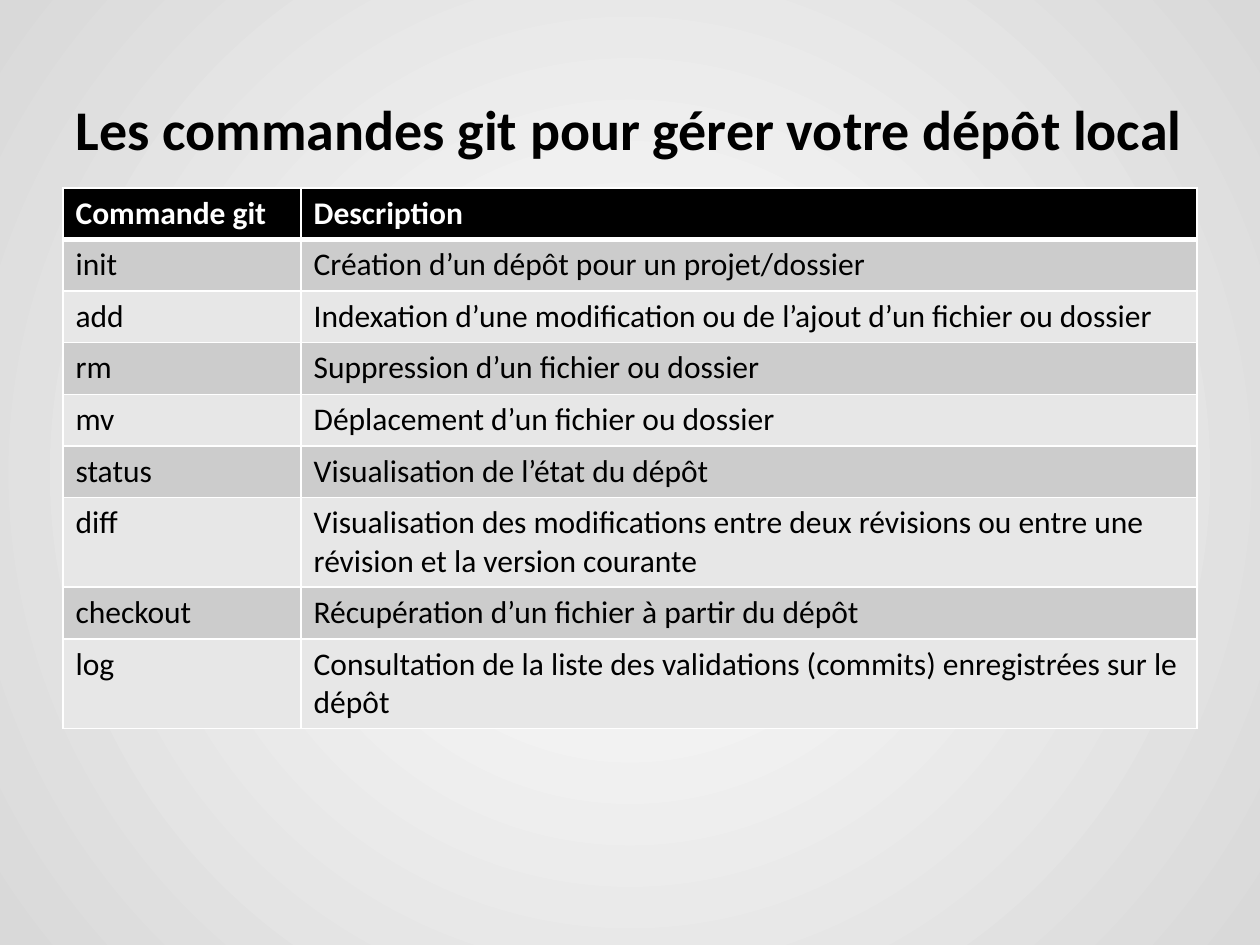
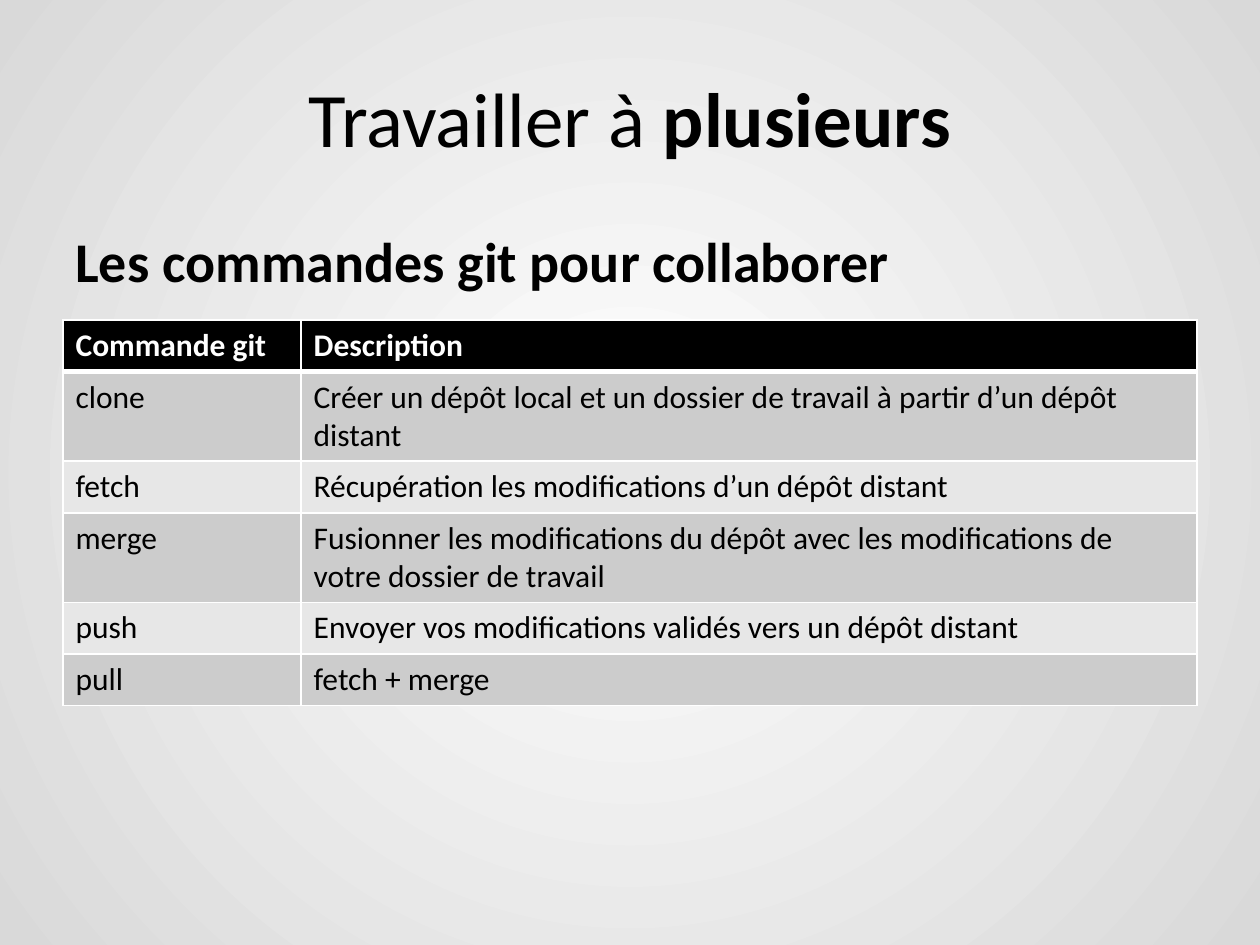
import pptx
import pptx.dml.color
import pptx.enum.text
import pptx.oxml
import pptx.oxml.ns
import pptx.util

COLORS = {
    "text": "000000",
    "header": "000000",
    "header_text": "FFFFFF",
    "odd_row": "CCCCCC",
    "even_row": "E7E7E7",
    "border": "FFFFFF",
    "center": "FFFFFF",
    "edge": "D9D9D9",
}
FONT = "Calibri"
WIDTH, HEIGHT = 10, 7.5
LEFT, CONTENT_WIDTH = 0.05 * WIDTH, 0.9 * WIDTH
HEADING_HEIGHT = 0.79
COMMAND_SHARE = 0.21
ROW_HEIGHT, TALL_ROW_HEIGHT = 0.41, 0.71
LINE_CAPACITY = 70
THIN, THICK = 0.96, 3

HEADER = ("Commande git", "Description")
LOCAL_COMMANDS = [
    ("init", "Création d’un dépôt pour un projet/dossier"),
    ("add", "Indexation d’une modification ou de l’ajout d’un fichier ou dossier"),
    ("rm", "Suppression d’un fichier ou dossier"),
    ("mv", "Déplacement d’un fichier ou dossier"),
    ("status", "Visualisation de l’état du dépôt"),
    ("diff", "Visualisation des modifications entre deux révisions ou entre une révision et la version courante"),
    ("checkout", "Récupération d’un fichier à partir du dépôt"),
    ("log", "Consultation de la liste des validations (commits) enregistrées sur le dépôt"),
]
SHARED_COMMANDS = [
    ("clone", "Créer un dépôt local et un dossier de travail à partir d’un dépôt distant"),
    ("fetch", "Récupération les modifications d’un dépôt distant"),
    ("merge", "Fusionner les modifications du dépôt avec les modifications de votre dossier de travail"),
    ("push", "Envoyer vos modifications validés vers un dépôt distant"),
    ("pull", "fetch + merge"),
]


def color(name):
    return pptx.dml.color.RGBColor.from_string(COLORS[name])


def apply(target, values):
    for name, value in values.items():
        setattr(target, name, value)


def place(shape, box):
    lengths = [pptx.util.Inches(length) for length in box]
    apply(shape, dict(zip(("left", "top", "width", "height"), lengths)))


def write(text_frame, parts, size, color_name="text", alignment=pptx.enum.text.PP_ALIGN.LEFT):
    paragraph = text_frame.paragraphs[0]
    paragraph.alignment = alignment
    for text, bold in parts:
        run = paragraph.add_run()
        run.text = text
        apply(run.font, {"name": FONT, "size": pptx.util.Pt(size), "bold": bold})
        run.font.color.rgb = color(color_name)


def set_background(master):
    fill = master.background.fill
    fill.gradient()
    for stop, name in zip(fill.gradient_stops, ("center", "edge")):
        stop.color.rgb = color(name)
    gradient = master.element.find(".//" + pptx.oxml.ns.qn("a:gradFill"))
    gradient.remove(gradient.find(pptx.oxml.ns.qn("a:lin")))
    gradient.append(pptx.oxml.parse_xml(
        f'<a:path {pptx.oxml.ns.nsdecls("a")} path="circle">'
        '<a:fillToRect l="50000" t="50000" r="50000" b="50000"/></a:path>'))


def add_title(slide, parts, box):
    title = slide.shapes.title
    place(title, box)
    apply(title.text_frame, {
        "word_wrap": True,
        "auto_size": pptx.enum.text.MSO_AUTO_SIZE.NONE,
        "vertical_anchor": pptx.enum.text.MSO_ANCHOR.MIDDLE,
    })
    write(title.text_frame, parts, 44, alignment=pptx.enum.text.PP_ALIGN.CENTER)


def format_heading(shape, text, box):
    place(shape, box)
    apply(shape.text_frame, {
        "word_wrap": True,
        "auto_size": pptx.enum.text.MSO_AUTO_SIZE.NONE,
        "vertical_anchor": pptx.enum.text.MSO_ANCHOR.TOP,
    })
    write(shape.text_frame, [(text, True)], 32)


def set_borders(cell, widths):
    properties = cell._tc.get_or_add_tcPr()
    for side, width in widths.items():
        properties.append(pptx.oxml.parse_xml(
            f'<a:ln{side} {pptx.oxml.ns.nsdecls("a")} w="{pptx.util.Pt(width)}">'
            f'<a:solidFill><a:srgbClr val="{COLORS["border"]}"/></a:solidFill></a:ln{side}>'))


def format_cell(cell, text, row):
    is_header = row == 0
    set_borders(cell, {
        "L": THIN,
        "R": THIN,
        "T": THICK if row == 1 else THIN,
        "B": THICK if is_header else THIN,
    })
    cell.fill.solid()
    fill_name = "header" if is_header else ("even_row", "odd_row")[row % 2]
    cell.fill.fore_color.rgb = color(fill_name)
    write(cell.text_frame, [(text, is_header)], 18, "header_text" if is_header else "text")


def add_command_table(slide, commands, left, top, width):
    rows = [HEADER, *commands]
    heights = [TALL_ROW_HEIGHT if len(description) > LINE_CAPACITY else ROW_HEIGHT
               for _, description in rows]
    box = [pptx.util.Inches(length) for length in (left, top, width, sum(heights))]
    table = slide.shapes.add_table(len(rows), len(HEADER), *box).table
    for column, share in zip(table.columns, (COMMAND_SHARE, 1 - COMMAND_SHARE)):
        column.width = pptx.util.Inches(width * share)
    for row, (texts, height) in enumerate(zip(rows, heights)):
        table.rows[row].height = pptx.util.Inches(height)
        for column, text in enumerate(texts):
            format_cell(table.cell(row, column), text, row)


def add_command_section(slide, heading_shape, heading, commands, top):
    format_heading(heading_shape, heading, (LEFT, top, CONTENT_WIDTH, HEADING_HEIGHT))
    add_command_table(slide, commands, LEFT, top + HEADING_HEIGHT, CONTENT_WIDTH)


def build_local_slide(presentation, layout):
    slide = presentation.slides.add_slide(layout)
    add_command_section(slide, slide.shapes.title,
                        "Les commandes git pour gérer votre dépôt local", LOCAL_COMMANDS, 0.7)


def build_shared_slide(presentation, layout):
    slide = presentation.slides.add_slide(layout)
    add_title(slide, [("Travailler à ", False), ("plusieurs", True)],
              (LEFT, 0.04 * HEIGHT, CONTENT_WIDTH, HEIGHT / 6))
    heading_shape = slide.shapes.add_textbox(0, 0, 0, 0)
    add_command_section(slide, heading_shape,
                        "Les commandes git pour collaborer", SHARED_COMMANDS, 1.75)


def main():
    presentation = pptx.Presentation()
    apply(presentation, {
        "slide_width": pptx.util.Inches(WIDTH),
        "slide_height": pptx.util.Inches(HEIGHT),
    })
    set_background(presentation.slide_master)
    layout = presentation.slide_layouts.get_by_name("Title Only")
    build_local_slide(presentation, layout)
    build_shared_slide(presentation, layout)
    presentation.save("out.pptx")


if __name__ == "__main__":
    main()
